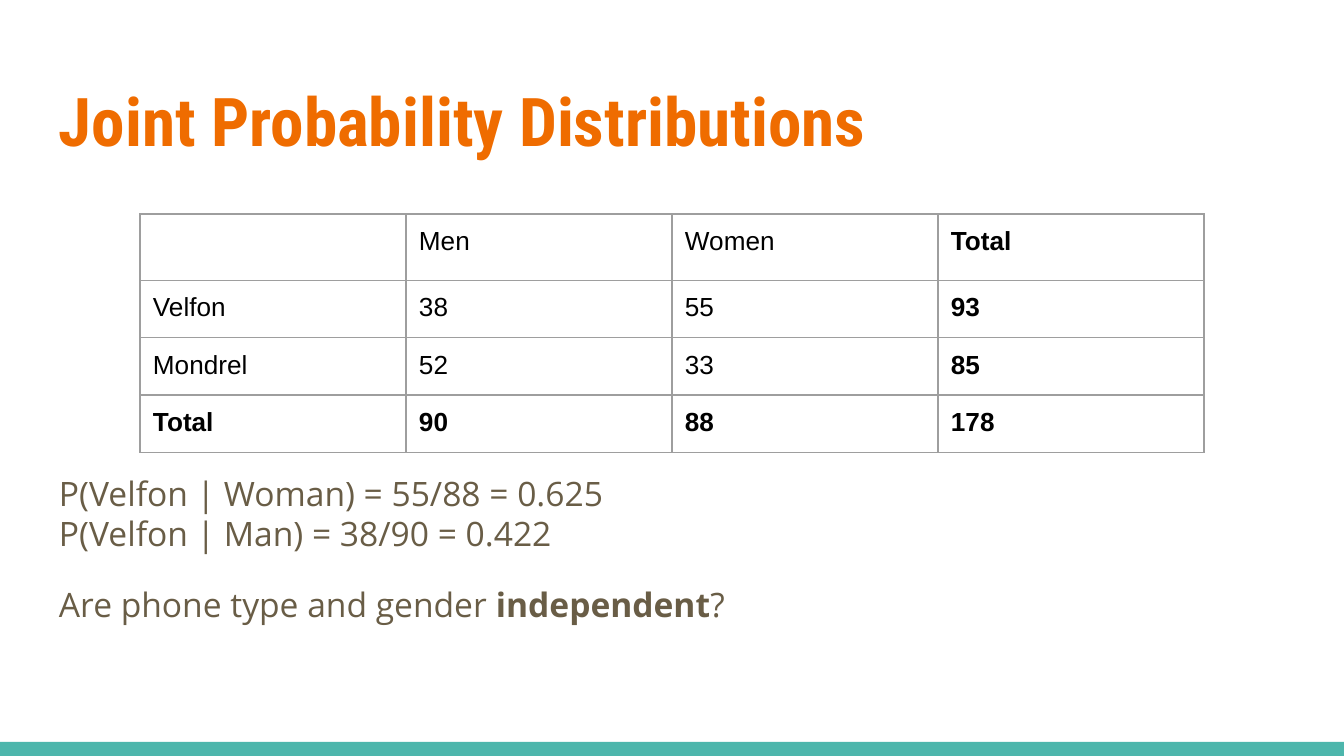
from lxml.etree import SubElement
from pptx import Presentation
from pptx.dml.color import RGBColor
from pptx.enum.shapes import MSO_SHAPE
from pptx.enum.text import MSO_ANCHOR
from pptx.oxml.ns import qn
from pptx.util import Emu, Pt

SCALE = 914400 / 134.4
PAGE_WIDTH, PAGE_HEIGHT = 1344, 756
INSET = 13

WHITE = RGBColor(0xFF, 0xFF, 0xFF)
BLACK = RGBColor(0, 0, 0)
ORANGE = RGBColor(0xEF, 0x6C, 0x00)
BROWN = RGBColor(0x69, 0x5D, 0x46)
TEAL = RGBColor(0x4D, 0xB6, 0xAC)
GRAY = RGBColor(0x9E, 0x9E, 0x9E)

COUNTS = [
    ["", "Men", "Women", "Total"],
    ["Velfon", "38", "55", "93"],
    ["Mondrel", "52", "33", "85"],
    ["Total", "90", "88", "178"],
]
ROW_HEIGHTS = [65, 56, 56, 56]
STATEMENTS = [
    ([("P(Velfon | Woman) = 55/88 = 0.625", False)], 0),
    ([("P(Velfon | Man) = 38/90 = 0.422", False)], 0),
    ([("Are phone type and gender ", False), ("independent", True), ("?", False)], 16),
]


def px(length):
    return Emu(round(length * SCALE))


def set_insets(target):
    target.margin_left = target.margin_right = px(INSET)
    target.margin_top = target.margin_bottom = px(INSET)


def add_span(para, text, font, size, color, bold=False):
    span = para.add_run()
    span.text = text
    span.font.name = font
    span.font.size = Pt(size)
    span.font.color.rgb = color
    span.font.bold = bold


def add_text_frame(page, box):
    frame = page.shapes.add_textbox(*map(px, box)).text_frame
    frame.word_wrap = True
    frame.vertical_anchor = MSO_ANCHOR.TOP
    set_insets(frame)
    return frame


def add_footer_bar(page, box):
    bar = page.shapes.add_shape(MSO_SHAPE.RECTANGLE, *map(px, box))
    bar.shadow.inherit = False
    bar.fill.solid()
    bar.fill.fore_color.rgb = TEAL
    bar.line.fill.background()


def add_title(page, box):
    para = add_text_frame(page, box).paragraphs[0]
    add_span(para, "Joint Probability Distributions", "Roboto Condensed", 36, ORANGE, True)


def add_statements(page, box):
    frame = add_text_frame(page, box)
    for index, (spans, space_before) in enumerate(STATEMENTS):
        para = frame.add_paragraph() if index else frame.paragraphs[0]
        para.space_before = Pt(space_before)
        for text, bold in spans:
            add_span(para, text, "Open Sans", 18, BROWN, bold)


def set_borders(cell):
    properties = cell._tc.get_or_add_tcPr()
    for index, side in enumerate(("lnL", "lnR", "lnT", "lnB")):
        border = SubElement(properties, qn(f"a:{side}"), w=str(Pt(0.75)))
        fill = SubElement(border, qn("a:solidFill"))
        SubElement(fill, qn("a:srgbClr"), val=str(GRAY))
        properties.insert(index, border)


def add_count_table(page, box):
    rows, columns = len(COUNTS), len(COUNTS[0])
    table = page.shapes.add_table(rows, columns, *map(px, box)).table
    table.first_row = table.horz_banding = False
    for column in table.columns:
        column.width = px(box[2] / columns)
    for row, height in zip(table.rows, ROW_HEIGHTS):
        row.height = px(height)
    for row_index, values in enumerate(COUNTS):
        for column_index, text in enumerate(values):
            cell = table.cell(row_index, column_index)
            set_insets(cell)
            cell.fill.background()
            set_borders(cell)
            if text:
                is_total = row_index == rows - 1 or column_index == columns - 1
                add_span(cell.text_frame.paragraphs[0], text, "Arial", 14, BLACK, is_total)


def build_page(deck):
    page = deck.slides.add_slide(deck.slide_layouts[6])
    page.background.fill.solid()
    page.background.fill.fore_color.rgb = WHITE
    add_footer_bar(page, (0, 742, PAGE_WIDTH, 14))
    add_title(page, (46, 66, 1252, 103))
    add_statements(page, (46, 460, 1252, 232))
    add_count_table(page, (140, 214, 1064, sum(ROW_HEIGHTS)))


def main():
    deck = Presentation()
    deck.slide_width = px(PAGE_WIDTH)
    deck.slide_height = px(PAGE_HEIGHT)
    build_page(deck)
    deck.save("out.pptx")


if __name__ == "__main__":
    main()
